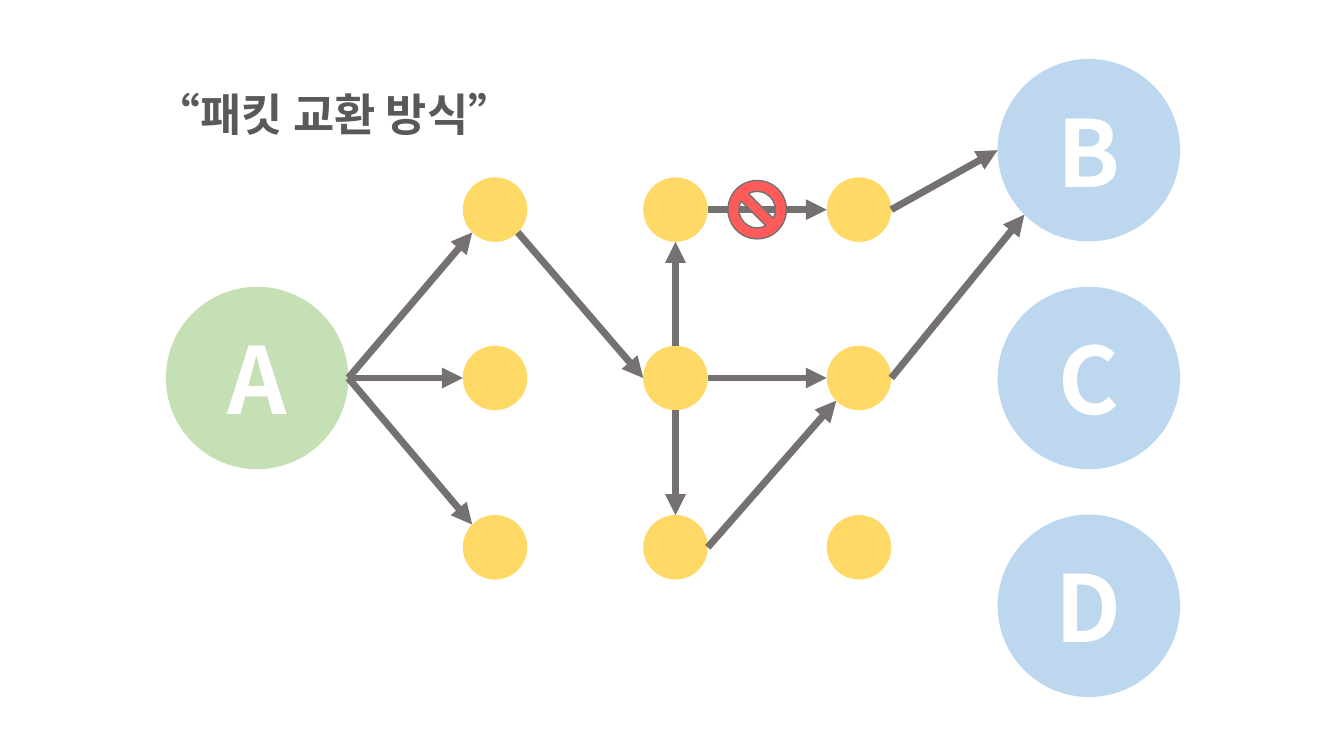
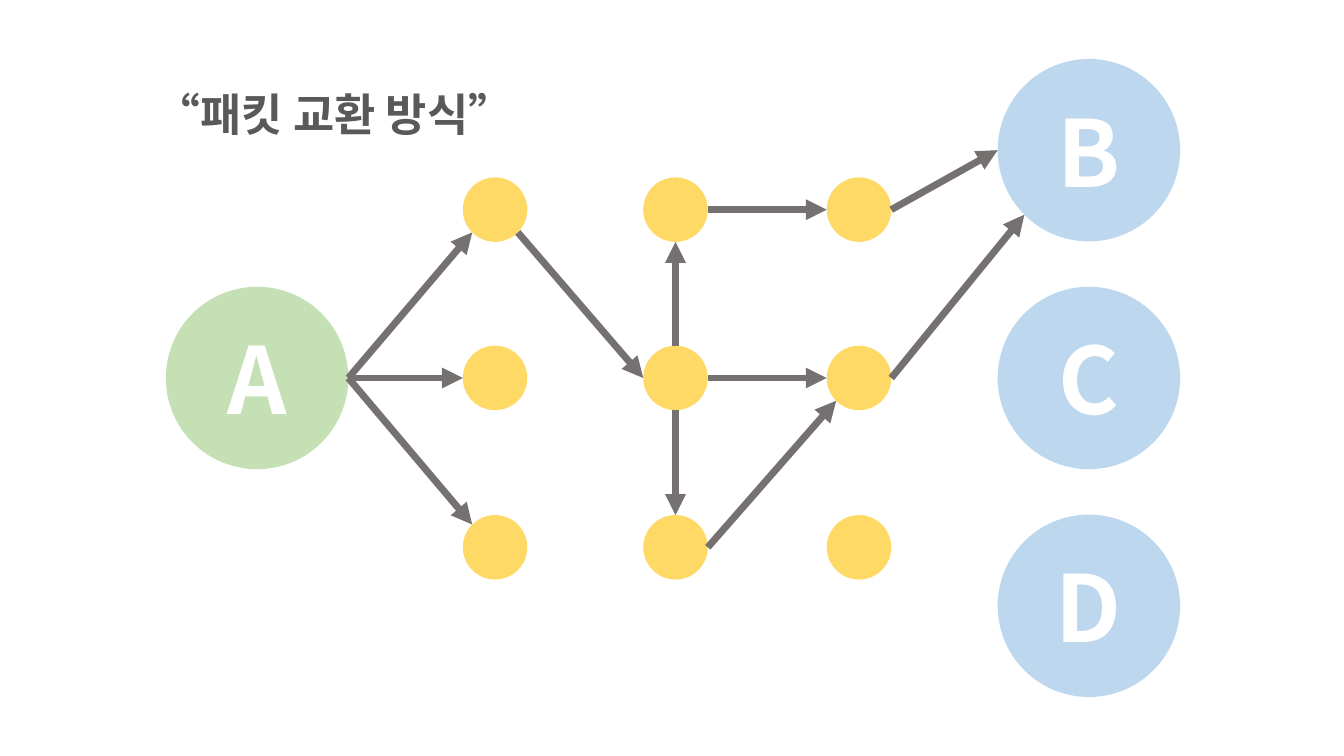
from math import cos, radians, sin

from lxml import etree
from pptx import Presentation
from pptx.dml.color import RGBColor
from pptx.enum import shapes, text
from pptx.oxml import ns
from pptx.util import Inches, Pt

TITLE = "“패킷 교환 방식”"
FONT = "Noto Sans CJK KR"
COLORS = {
    "source": "C5E0B4", "target": "BDD7EE", "node": "FFD966",
    "arrow": "767171", "block": "FF5B5B", "title": "595959", "label": "FFFFFF",
}
HOST, NODE, SIGN = 1.81, 0.64, 0.58  # diameters
MID, STEP = 3.75, 2.26  # middle row, distance between hosts
COLS = (4.91, 6.7, 8.52)
ROWS = (2.08, MID, 5.43)

# name: (centre x, centre y, diameter, colour, label)
CIRCLES = {"A": (2.55, MID, HOST, "source", "A")}
for i, name in enumerate("BCD"):
    CIRCLES[name] = (10.8, MID + (i - 1) * STEP, HOST, "target", name)
for c, x in enumerate(COLS, 1):
    for r, y in enumerate(ROWS, 1):
        CIRCLES[f"{c}-{r}"] = (x, y, NODE, "node", "")

# Circle and side where each arrow starts, then where it ends
ARROWS = [
    ("A", "E", "1-1", "SW"), ("A", "E", "1-2", "W"), ("A", "E", "1-3", "NW"),
    ("1-1", "SE", "2-2", "W"),
    ("2-2", "N", "2-1", "S"), ("2-2", "S", "2-3", "N"), ("2-2", "E", "3-2", "W"),
    ("2-1", "E", "3-1", "W"), ("2-3", "E", "3-2", "SW"),
    ("3-1", "E", "B", "W"), ("3-2", "E", "B", "SW"),
]
ANGLES = {side: 45 * i for i, side in enumerate(("E", "SE", "S", "SW", "W", "NW", "N"))}
BLOCKED = (True, False)  # one slide each


def rgb(key):
    return RGBColor.from_string(COLORS[key])


def write(frame, words, size, color):
    frame.vertical_anchor = text.MSO_ANCHOR.MIDDLE
    para = frame.paragraphs[0]
    para.alignment = text.PP_ALIGN.CENTER
    run = para.add_run()
    run.text = words
    style = {"name": FONT, "size": Pt(size), "bold": True}
    for key, value in style.items():
        setattr(run.font, key, value)
    run.font.color.rgb = rgb(color)
    etree.SubElement(run.font._element, ns.qn("a:ea"), typeface=FONT)
    return para


def add_round(slide, kind, x, y, size, color):
    """Add a round shape centred on x, y."""
    shape = slide.shapes.add_shape(
        kind, Inches(x - size / 2), Inches(y - size / 2), Inches(size), Inches(size))
    shape.shadow.inherit = False
    shape.fill.solid()
    shape.fill.fore_color.rgb = rgb(color)
    shape.line.fill.background()
    return shape


def rim(name, side):
    """Return the point of a circle's edge on the given side."""
    x, y, size = CIRCLES[name][:3]
    turn = radians(ANGLES[side])
    return Inches(x + size / 2 * cos(turn)), Inches(y + size / 2 * sin(turn))


def add_arrow(slide, start, out, end, into):
    arrow = slide.shapes.add_connector(
        shapes.MSO_CONNECTOR.STRAIGHT, *rim(start, out), *rim(end, into))
    arrow.line.color.rgb = rgb("arrow")
    arrow.line.width = Pt(5)
    etree.SubElement(arrow.line._get_or_add_ln(), ns.qn("a:tailEnd"), type="triangle")
    etree.SubElement(arrow._element.spPr, ns.qn("a:effectLst"))


def add_title(slide):
    title = slide.shapes.title
    box = {"left": 0, "top": 0.66, "width": 6.64, "height": 1}
    for key, value in box.items():
        setattr(title, key, Inches(value))
    title.text_frame.auto_size = text.MSO_AUTO_SIZE.NONE
    write(title.text_frame, TITLE, 32, "title").line_spacing = 0.9


def add_network(slide):
    for x, y, size, color, label in CIRCLES.values():
        shape = add_round(slide, shapes.MSO_SHAPE.OVAL, x, y, size, color)
        if label:
            write(shape.text_frame, label, 66, "label")
    for arrow in ARROWS:
        add_arrow(slide, *arrow)


def add_block(slide):
    sign = add_round(slide, shapes.MSO_SHAPE.NO_SYMBOL, 7.51, ROWS[0], SIGN, "block")
    sign.line.color.rgb = rgb("arrow")
    sign.line.width = Pt(1)


def main():
    deck = Presentation()
    deck.slide_width, deck.slide_height = Inches(13.33), Inches(7.5)
    for blocked in BLOCKED:
        slide = deck.slides.add_slide(deck.slide_layouts[5])
        add_title(slide)
        add_network(slide)
        if blocked:
            add_block(slide)
    deck.save("out.pptx")


if __name__ == "__main__":
    main()
